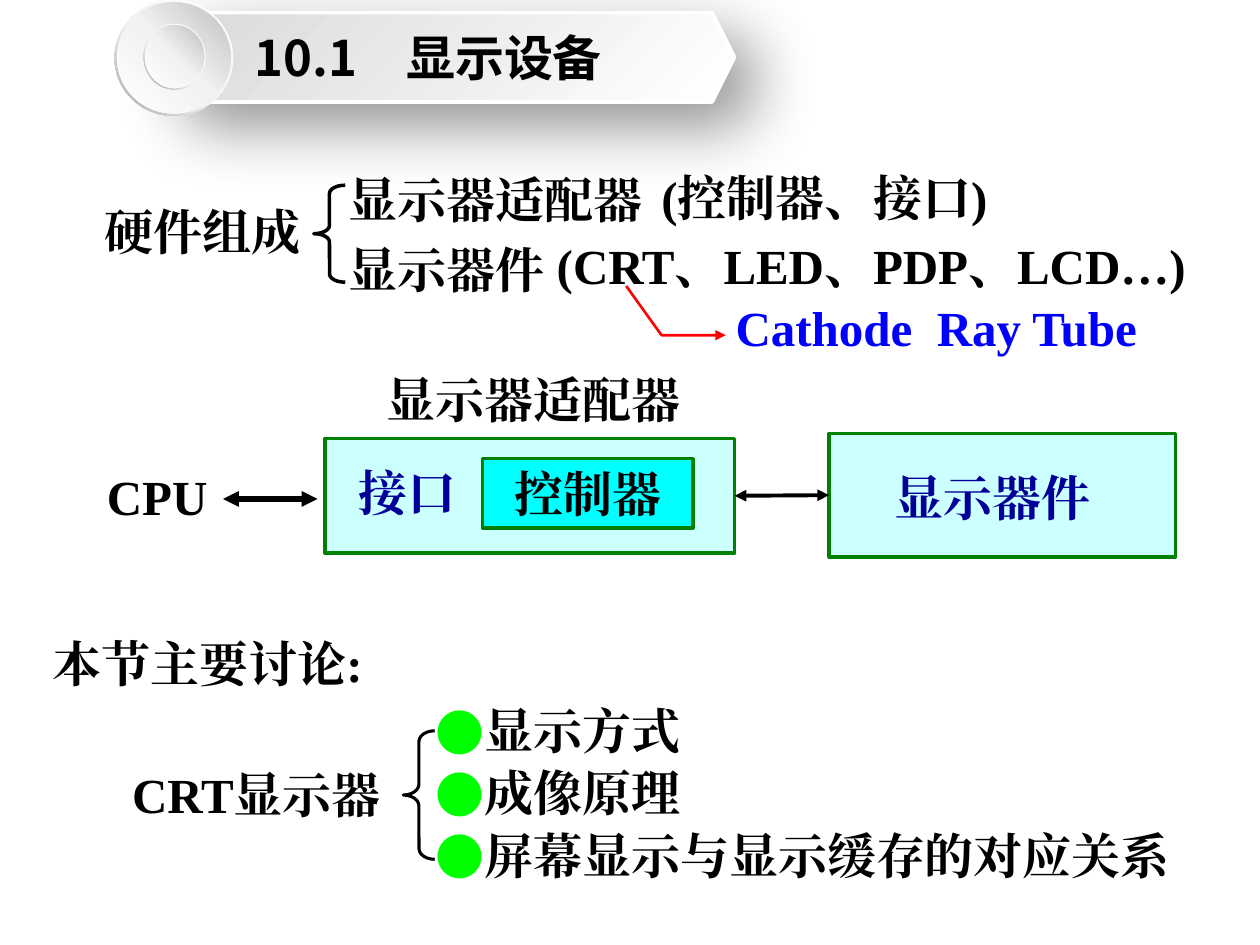
from lxml import etree
from pptx import Presentation
from pptx.dml.color import RGBColor
from pptx.enum.shapes import MSO_CONNECTOR, MSO_SHAPE
from pptx.enum.text import MSO_ANCHOR, MSO_AUTO_SIZE, PP_ALIGN
from pptx.oxml import parse_xml
from pptx.oxml.ns import nsdecls, qn
from pptx.util import Inches, Pt

RECT, BRACE = MSO_SHAPE.RECTANGLE, MSO_SHAPE.LEFT_BRACE
HEXAGON, DONUT, ELLIPSE = MSO_SHAPE.HEXAGON, MSO_SHAPE.DONUT, MSO_SHAPE.OVAL
STRAIGHT = MSO_CONNECTOR.STRAIGHT
LEFT, CENTER = PP_ALIGN.LEFT, PP_ALIGN.CENTER
TOP, MIDDLE = MSO_ANCHOR.TOP, MSO_ANCHOR.MIDDLE
GROW = MSO_AUTO_SIZE.SHAPE_TO_FIT_TEXT

C = {"black": "000000", "navy": "000099", "blue": "0000FF", "red": "FF0000",
     "green": "008000", "lime": "00FF00", "pale": "CCFFFF", "cyan": "00FFFF",
     "white": "FFFFFF", "silver": "D9D9D9", "mist": "F2F2F2",
     "grey": "BFBFBF", "dark": "A6A6A6"}
SERIF, SANS = "Times New Roman", "Noto Sans CJK SC"
RING = [(0, "white"), (55, "mist"), (100, "dark")]
DISC = [(0, "white"), (51, "mist"), (100, "grey")]


def rgb(name):
    return RGBColor.from_string(C[name])


def write(s, text, color="black", font=SERIF, align=LEFT, anchor=TOP,
          left=0.1, right=0.1, bullet=None, gap=0):
    """Fill a shape with one bold paragraph per line of text."""
    tf = s.text_frame
    tf.word_wrap, tf.vertical_anchor = True, anchor
    tf.margin_left, tf.margin_right = Inches(left), Inches(right)
    tf.margin_top = tf.margin_bottom = Inches(0.05)
    for i, line in enumerate(text.split("\n")):
        p = tf.add_paragraph() if i else tf.paragraphs[0]
        p.alignment = align
        if i:
            p.space_before = Pt(gap)
        if bullet:
            add_bullet(p, bullet)
        r = p.add_run()
        r.text = line
        r.font.name, r.font.size, r.font.bold = font, Pt(28), True
        r.font.color.rgb = rgb(color)
        etree.SubElement(r.font._element, qn("a:ea"), typeface=font)


def add_bullet(p, color):
    pPr = p._p.get_or_add_pPr()
    pPr.set("marL", str(Inches(0.38)))
    pPr.set("indent", str(-Inches(0.38)))
    clr = etree.SubElement(pPr, qn("a:buClr"))
    etree.SubElement(clr, qn("a:srgbClr"), val=C[color])
    etree.SubElement(pPr, qn("a:buFont"), typeface=SANS)
    etree.SubElement(pPr, qn("a:buChar"), char="●")


def set_gradient(s, stops, angle):
    s.fill.background()
    spPr = s._element.spPr
    gs = "".join(f'<a:gs pos="{pos * 1000}"><a:srgbClr val="{C[c]}"/></a:gs>'
                 for pos, c in stops)
    grad = parse_xml(f'<a:gradFill {nsdecls("a")}><a:gsLst>{gs}</a:gsLst>'
                     f'<a:lin ang="{angle * 60000}" scaled="0"/></a:gradFill>')
    spPr.replace(spPr.find(qn("a:noFill")), grad)


def add_shadow(s, color, alpha, blur, dist, angle):
    effects = s._element.spPr.find(qn("a:effectLst"))
    effects.append(parse_xml(
        f'<a:outerShdw {nsdecls("a")} blurRad="{Pt(blur)}" dist="{Pt(dist)}" '
        f'dir="{angle * 60000}" algn="tl" rotWithShape="0">'
        f'<a:srgbClr val="{C[color]}"><a:alpha val="{alpha * 1000}"/>'
        '</a:srgbClr></a:outerShdw>'))


def add_arrowheads(s, *ends):
    ln = s.line._get_or_add_ln()
    for end in ends:
        etree.SubElement(ln, qn(f"a:{end}"), type="triangle")


class Board:
    """Holds the current slide and draws each kind of element on it."""

    def __init__(self, slide):
        self.shapes = slide.shapes

    def label(self, text, x, y, w, h=0.57, **fmt):
        s = self.shapes.add_textbox(*map(Inches, (x, y, w, h)))
        write(s, text, **fmt)
        s.text_frame.auto_size = GROW
        return s

    def shape(self, kind, x, y, w, h, fill=None, line=None, width=2, adj=()):
        s = self.shapes.add_shape(kind, *map(Inches, (x, y, w, h)))
        s.shadow.inherit = False
        for i, value in enumerate(adj):
            s.adjustments[i] = value
        if isinstance(fill, tuple):
            set_gradient(s, *fill)
        elif fill:
            s.fill.solid()
            s.fill.fore_color.rgb = rgb(fill)
        else:
            s.fill.background()
        self.stroke(s, line, width)
        return s

    def stroke(self, s, color, width):
        if color:
            s.line.color.rgb, s.line.width = rgb(color), Pt(width)
        else:
            s.line.fill.background()

    def double_arrow(self, x1, y1, x2, y2, width):
        s = self.shapes.add_connector(STRAIGHT, *map(Inches, (x1, y1, x2, y2)))
        self.stroke(s, "black", width)
        add_arrowheads(s, "headEnd", "tailEnd")
        etree.SubElement(s._element.spPr, qn("a:effectLst"))
        return s

    def bent_arrow(self, points, color, width):
        start, *rest = [(Inches(x), Inches(y)) for x, y in points]
        fb = self.shapes.build_freeform(*start)
        fb.add_line_segments(rest, close=False)
        s = fb.convert_to_shape()
        s.shadow.inherit = False
        s.fill.background()
        self.stroke(s, color, width)
        add_arrowheads(s, "tailEnd")


def draw_hardware(b):
    b.label("硬件组成", 0.73, 1.55, 2.03)
    b.shape(BRACE, 2.49, 1.47, 0.25, 0.77, line="black", adj=(0.26, 0.5))
    b.label("显示器适配器", 2.67, 1.3, 3.58)
    b.label("显示器件", 2.67, 1.85, 2.17)
    b.label("(控制器、接口)", 5.15, 1.28, 3.7)
    b.label("(CRT、LED、PDP、LCD…)", 4.32, 1.82, 5.58)


def draw_topics(b):
    b.label("本节主要讨论:", 0.32, 4.98, 3.52)
    b.label("CRT显示器", 0.95, 6.02, 2.48)
    b.label("显示方式\n成像原理\n屏幕显示与显示缓存的对应关系",
            3.36, 5.51, 6.61, 1.55, bullet="lime", gap=2)
    b.shape(BRACE, 3.2, 5.8, 0.25, 1.02, line="black", width=1.75,
            adj=(0.34, 0.5))


def draw_block_diagram(b):
    adapter = b.shape(RECT, 2.58, 3.48, 3.25, 0.91, "pale", "green", 2.25)
    controller = b.shape(RECT, 3.83, 3.64, 1.67, 0.55, "cyan", "green")
    write(controller, "控制器", align=CENTER, anchor=MIDDLE)
    b.label("接口", 2.75, 3.62, 1.27, color="navy")
    b.label("显示器适配器", 2.97, 2.88, 2.72)
    display = b.shape(RECT, 6.58, 3.44, 2.75, 0.98, "pale", "green")
    name = b.shape(RECT, 6.91, 3.66, 2.25, 0.57, "pale")
    write(name, "显示器件", color="navy", left=0.19)
    b.double_arrow(1.77, 3.96, 2.52, 3.96, 3)
    link = b.double_arrow(5.83, 3.93, 6.58, 3.93, 2.25)
    link.begin_connect(adapter, 3)
    link.end_connect(display, 1)
    b.label("CPU", 0.75, 3.65, 1.33)


def draw_crt_note(b):
    b.bent_arrow([(4.97, 2.27), (5.25, 2.66), (5.76, 2.66)], "red", 1.5)
    b.label("Cathode  Ray Tube", 5.74, 2.31, 3.83, color="blue")


def draw_title(b):
    banner = b.shape(HEXAGON, 1.22, 0.1, 4.61, 0.71,
                     ([(0, "white"), (100, "silver")], 225), "white")
    add_shadow(banner, "black", 42, 38, 19, 45)
    write(banner, "10.1　显示设备", font=SANS, align=CENTER, anchor=MIDDLE,
          right=0.35)
    for x, y, w, h in [(0.91, 0, 0.94, 0.92), (1.14, 0.19, 0.49, 0.52)]:
        b.shape(DONUT, x, y, w, h, (RING, 135), adj=(0.05,))
        inset = w * 0.02
        b.shape(ELLIPSE, x + inset, y + inset, w - 2 * inset, h - 2 * inset,
                (DISC, 315))


def main():
    prs = Presentation()
    prs.slide_width, prs.slide_height = Inches(10), Inches(7.5)
    b = Board(prs.slides.add_slide(prs.slide_layouts[6]))
    draw_hardware(b)
    draw_topics(b)
    draw_block_diagram(b)
    draw_crt_note(b)
    draw_title(b)
    prs.save("out.pptx")


if __name__ == "__main__":
    main()
